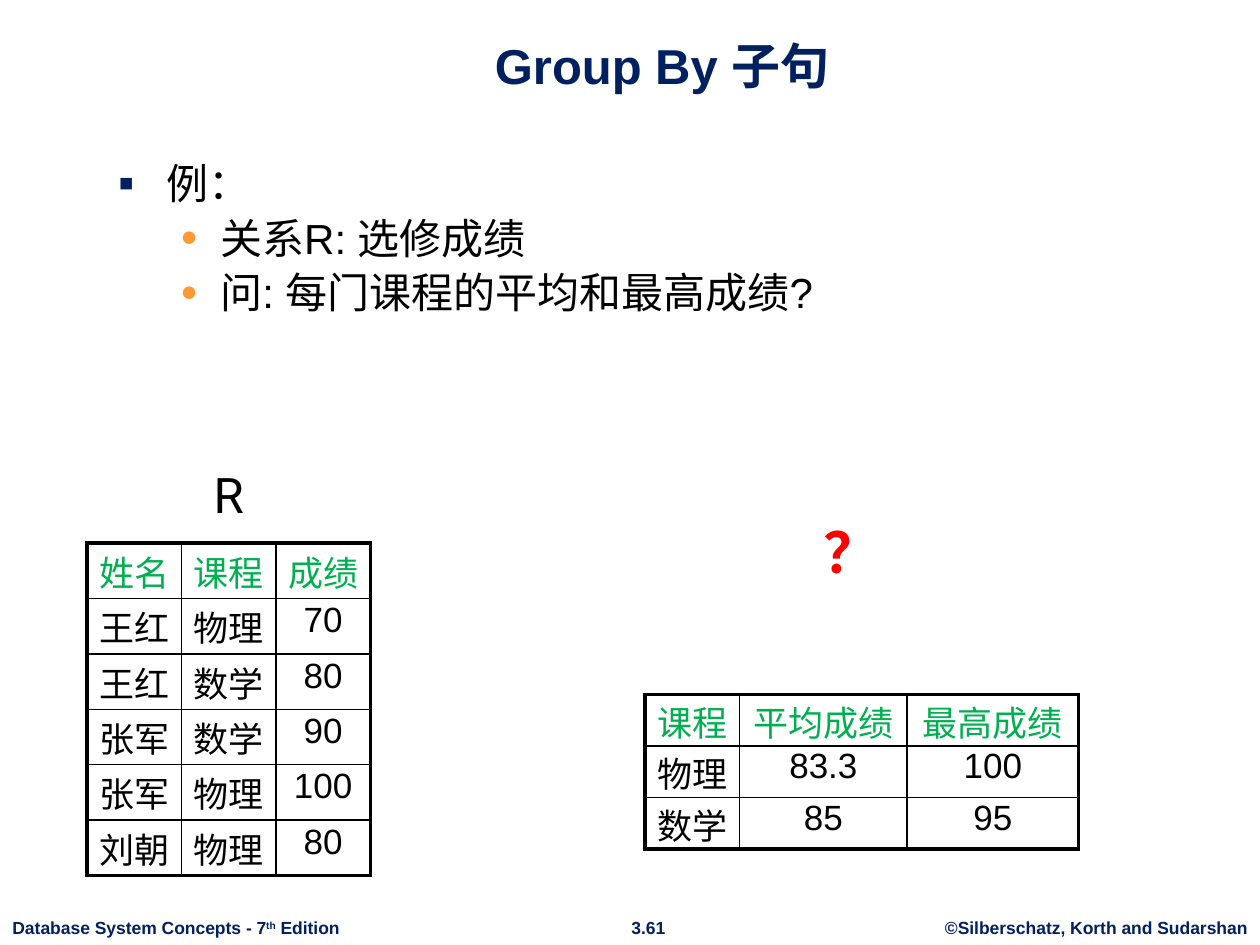
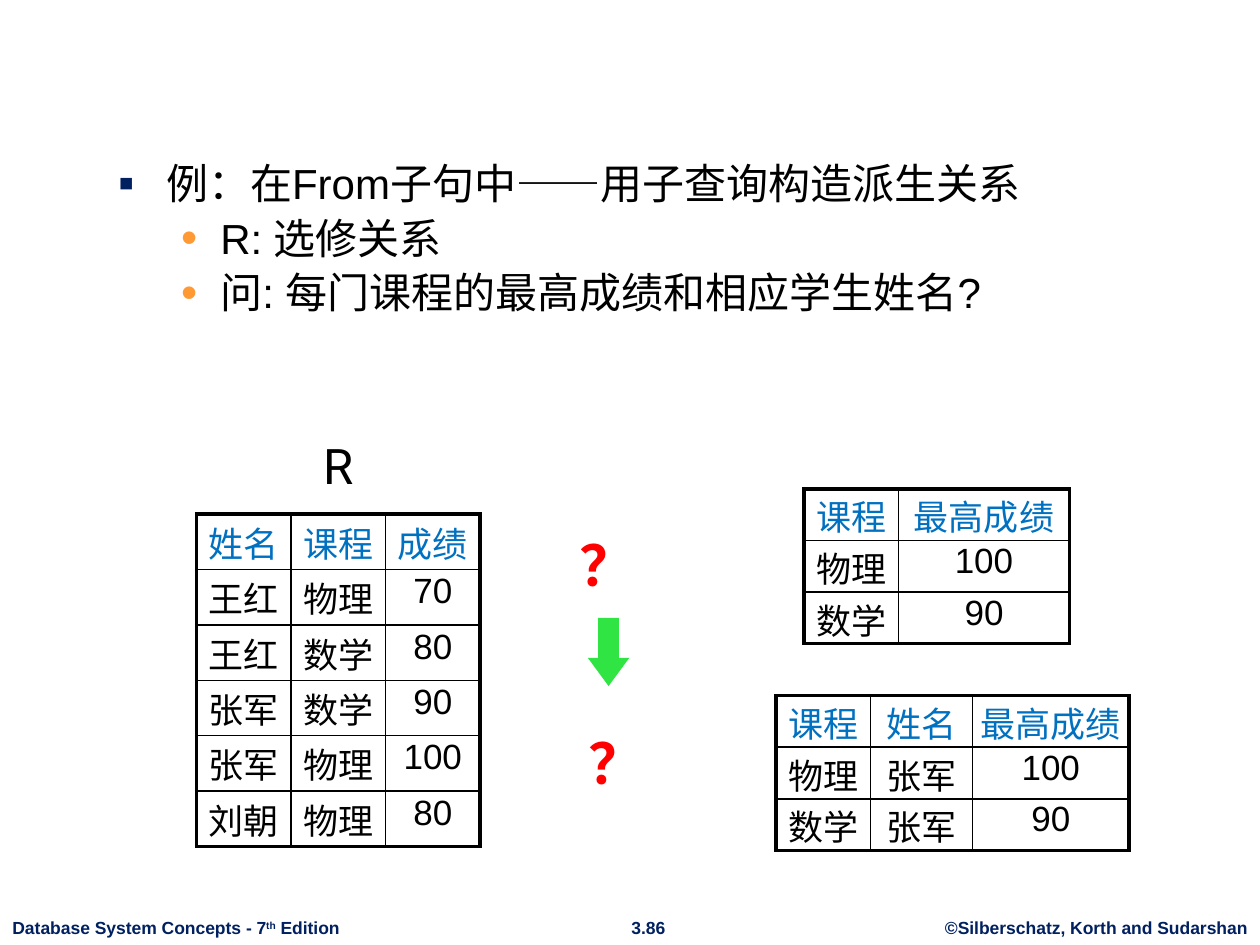
import pptx
import pptx.util
import pptx.dml.color
import pptx.enum.shapes
import pptx.enum.text
import pptx.oxml
import pptx.oxml.ns

PX = 9144
COLORS = {
    "navy": "002060", "black": "000000", "white": "FFFFFF", "orange": "FF9933",
    "green": "00B050", "blue": "0070C0", "red": "FF0000", "arrow": "30E444",
}
ALIGN = pptx.enum.text.PP_ALIGN
ANCHOR = pptx.enum.text.MSO_ANCHOR
TITLE = {"name": "Arial", "size": 28, "bold": True, "color": "navy"}
BODY = {"name": "Arial", "size": 24, "color": "black"}
FOOTER = {"name": "Arial", "size": 10, "bold": True, "color": "navy"}
CELL = {"name": "Arial", "size": 20, "bold": False, "color": "black"}
LABEL = {"name": "Roboto", "size": 28, "color": "black"}
QUESTION = {"name": "Roboto", "size": 32, "bold": True, "color": "red"}
BULLETS = [("▪", "navy", 38, -38), ("•", "orange", 81, -31)]
SCORES = [
    ["姓名", "课程", "成绩"],
    ["王红", "物理", "70"],
    ["王红", "数学", "80"],
    ["张军", "数学", "90"],
    ["张军", "物理", "100"],
    ["刘朝", "物理", "80"],
]


def px(n):
    return pptx.util.Emu(n * PX)


def rgb(name):
    return pptx.dml.color.RGBColor.from_string(COLORS[name])


def set_font(font, fmt):
    for key, value in fmt.items():
        if key == "color":
            font.color.rgb = rgb(value)
        else:
            setattr(font, key, pptx.util.Pt(value) if key == "size" else value)


def add_run(p, text, fmt):
    r = p.add_run()
    r.text = text
    set_font(r.font, fmt)
    return r


def add_text(s, box, text, fmt, align=ALIGN.CENTER, wrap=True):
    sp = s.shapes.add_textbox(*map(px, box))
    sp.text_frame.word_wrap = wrap
    p = sp.text_frame.paragraphs[0]
    p.alignment = align
    add_run(p, text, fmt)
    return p


def add_title(s, box, text):
    sp = s.shapes.title
    sp.left, sp.top, sp.width, sp.height = map(px, box)
    tf = sp.text_frame
    tf.vertical_anchor = ANCHOR.BOTTOM
    tf.paragraphs[0].alignment = ALIGN.CENTER
    add_run(tf.paragraphs[0], text, TITLE)


def add_footer(s, number):
    p = add_text(s, (0, 723, 281, 27), "Database System Concepts - 7", FOOTER, ALIGN.LEFT, False)
    add_run(p, "th", FOOTER).font._element.set("baseline", "30000")
    add_run(p, " Edition", FOOTER)
    add_text(s, (490, 723, 49, 27), number, FOOTER, wrap=False)
    add_text(s, (740, 723, 260, 27), "©Silberschatz, Korth and Sudarshan", FOOTER, wrap=False)


def add_bullet(p, level):
    char, color, margin, indent = BULLETS[level]
    p.level = level
    pPr = p._p.get_or_add_pPr()
    pPr.set("marL", str(px(margin)))
    pPr.set("indent", str(px(indent)))
    ns = pptx.oxml.ns.nsdecls("a")
    for xml in (
        f'<a:buClr {ns}><a:srgbClr val="{COLORS[color]}"/></a:buClr>',
        f'<a:buSzPct {ns} val="110000"/>',
        f'<a:buFont {ns} typeface="Arial"/>',
        f'<a:buChar {ns} char="{char}"/>',
    ):
        pPr.append(pptx.oxml.parse_xml(xml))


def add_body(s, box, items):
    tf = s.shapes.add_textbox(*map(px, box)).text_frame
    tf.word_wrap = True
    for i, text in enumerate(items):
        p = tf.add_paragraph() if i else tf.paragraphs[0]
        if i:
            p.space_before = pptx.util.Pt(2.5)
        add_bullet(p, min(i, 1))
        add_run(p, text, BODY)


def set_borders(cell, outer):
    tcPr = cell._tc.get_or_add_tcPr()
    ns = pptx.oxml.ns.nsdecls("a")
    for i, side in enumerate("LRTB"):
        width = pptx.util.Pt(2.25 if side in outer else 1)
        tcPr.insert(i, pptx.oxml.parse_xml(
            f'<a:ln{side} {ns} w="{width}"><a:solidFill>'
            f'<a:srgbClr val="{COLORS["black"]}"/></a:solidFill></a:ln{side}>'))


def add_grid(s, at, widths, row_height, rows, head_color, insets=(4, 2, 4, 2)):
    size = (sum(widths), row_height * len(rows))
    table = s.shapes.add_table(len(rows), len(widths), *map(px, at + size)).table
    table.first_row = table.horz_banding = False
    for column, width in zip(table.columns, widths):
        column.width = px(width)
    sides = ("margin_left", "margin_top", "margin_right", "margin_bottom")
    for i, row in enumerate(rows):
        table.rows[i].height = px(row_height)
        for j, text in enumerate(row):
            cell = table.cell(i, j)
            for side, inset in zip(sides, insets):
                setattr(cell, side, px(inset))
            if i:
                cell.fill.background()
            else:
                cell.fill.solid()
                cell.fill.fore_color.rgb = rgb("white")
            edges = {"T": i == 0, "B": i == len(rows) - 1, "L": j == 0, "R": j == len(widths) - 1}
            set_borders(cell, [side for side, on in edges.items() if on])
            p = cell.text_frame.paragraphs[0]
            p.alignment = ALIGN.CENTER
            add_run(p, text, CELL if i else CELL | {"color": head_color})


def add_scores(s, x, y, head_color):
    add_text(s, (x + 50, y, 125, 57), "R", LABEL)
    add_grid(s, (x, y + 67), (75, 75, 75), 44, SCORES, head_color)


def add_result(s, at, widths, rows, head_color, side=4):
    add_grid(s, at, widths, 41, rows, head_color, (side, 1, side, 0))


def add_question(s, x, y):
    p = add_text(s, (x, y, 65, 65), "？", QUESTION, wrap=False)
    p.line_spacing = 1.15


def add_arrow(s, box):
    sp = s.shapes.add_shape(pptx.enum.shapes.MSO_SHAPE.RIGHT_ARROW, *map(px, box))
    sp.rotation = 90
    sp.adjustments[1] = 0.68
    sp.shadow.inherit = False
    sp.fill.solid()
    sp.fill.fore_color.rgb = rgb("arrow")
    sp.line.fill.background()


def group_by_slide(prs):
    s = prs.slides.add_slide(prs.slide_layouts[5])
    add_footer(s, "3.61")
    add_title(s, (84, 13, 883, 67), "Group By 子句")
    add_body(s, (84, 120, 843, 536), ["例：", "关系R: 选修成绩", "问: 每门课程的平均和最高成绩?"])
    add_scores(s, 69, 364, "green")
    add_result(s, (512, 551), (75, 133, 136), [
        ["课程", "平均成绩", "最高成绩"], ["物理", "83.3", "100"], ["数学", "85", "95"]], "green")
    add_question(s, 643, 398)


def subquery_slide(prs):
    s = prs.slides.add_slide(prs.slide_layouts[6])
    add_footer(s, "3.86")
    add_body(s, (84, 120, 843, 536), [
        "例：在From子句中——用子查询构造派生关系", "R: 选修关系", "问: 每门课程的最高成绩和相应学生姓名?"])
    add_scores(s, 156, 341, "blue")
    add_result(s, (638, 388), (75, 136), [
        ["课程", "最高成绩"], ["物理", "100"], ["数学", "90"]], "blue")
    add_result(s, (616, 552), (75, 81, 124), [
        ["课程", "姓名", "最高成绩"], ["物理", "张军", "100"], ["数学", "张军", "90"]], "blue", 0)
    add_arrow(s, (456, 501, 54, 33))
    add_question(s, 450, 408)
    add_question(s, 457, 565)


def main():
    prs = pptx.Presentation()
    prs.slide_width, prs.slide_height = px(1000), px(750)
    group_by_slide(prs)
    subquery_slide(prs)
    prs.save("out.pptx")


if __name__ == "__main__":
    main()
